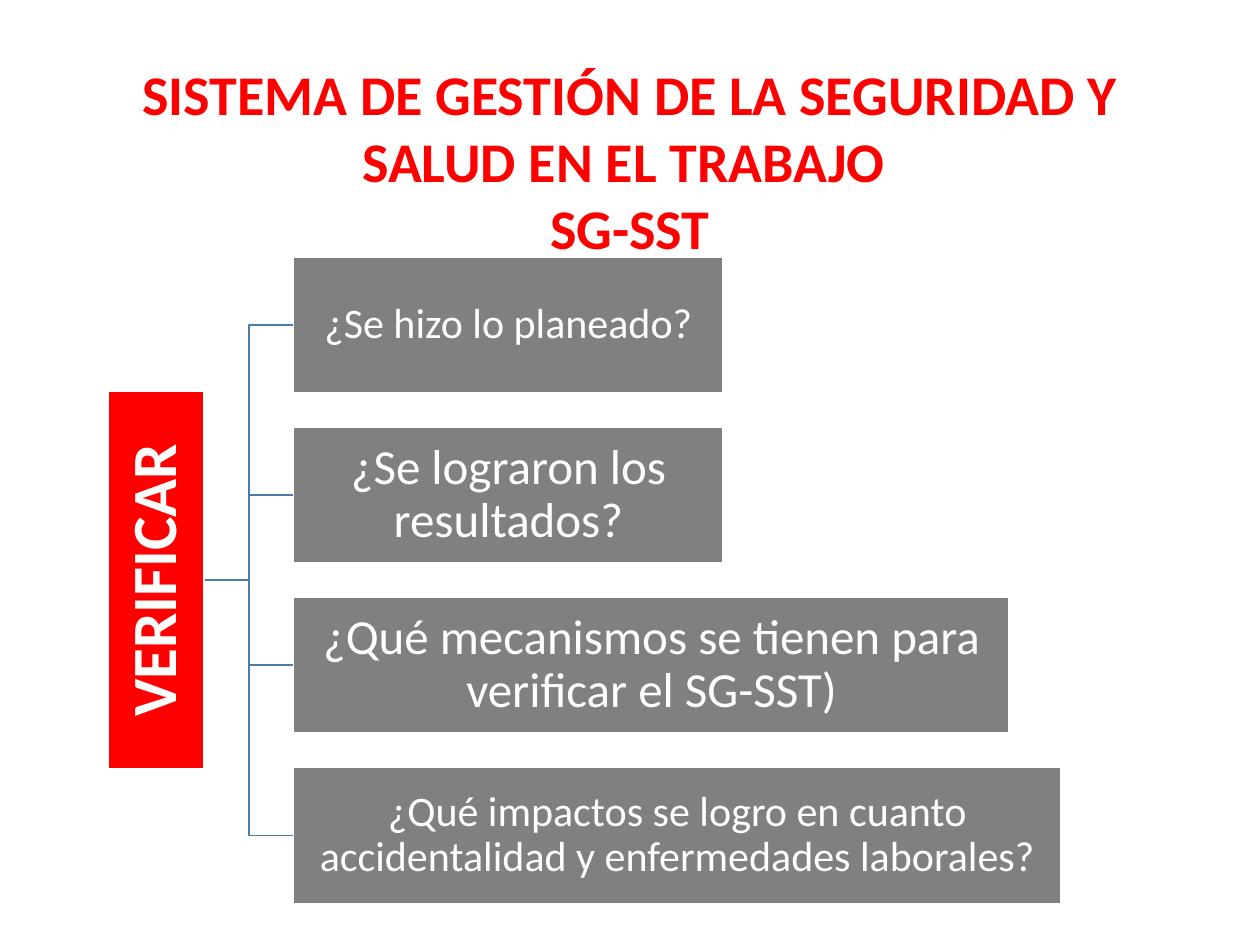
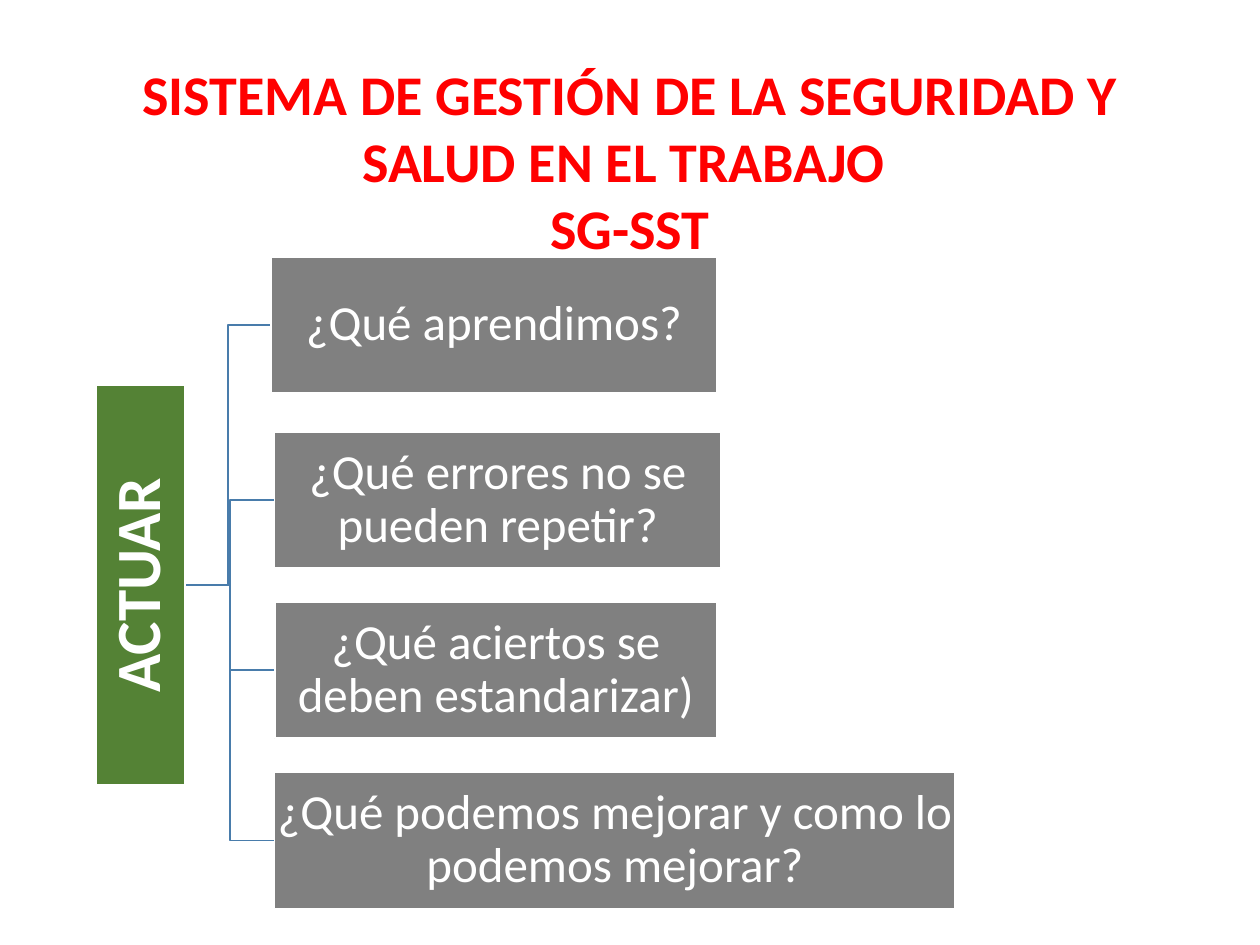
from dataclasses import dataclass

from pptx import Presentation
from pptx.dml.color import RGBColor
from pptx.enum.shapes import MSO_SHAPE
from pptx.enum.text import MSO_ANCHOR, MSO_AUTO_SIZE, PP_ALIGN
from pptx.util import Inches, Pt

# Grid: 100 columns by 75 rows of square cells
SLIDE_WIDTH, SLIDE_HEIGHT = Inches(10), Inches(7.5)
CELL = SLIDE_WIDTH / 100
QUESTION_HEIGHT = 10.8
QUESTION_PITCH = 13.5


@dataclass(frozen=True)
class Theme:
    font: str = "Calibri"
    red: str = "FF0000"
    green: str = "548235"
    gray: str = "808080"
    white: str = "FFFFFF"
    branch: str = "497CAB"
    title_size: int = 32
    stage_size: int = 36
    question_size: int = 28
    small_size: int = 24
    line_width: int = 1


THEME = Theme()
TITLE = ("SISTEMA DE GESTIÓN DE LA SEGURIDAD Y SALUD EN EL TRABAJO ", "SG-SST")


@dataclass(frozen=True)
class Question:
    text: str
    columns: float
    size: int = THEME.question_size
    shift: tuple = (0, 0)


@dataclass(frozen=True)
class Stage:
    name: str
    color: str
    center: float
    length: float
    thickness: float
    questions_left: float
    questions_top: float
    questions: tuple


STAGES = (
    Stage("VERIFICAR", THEME.red, 12.4, 30, 7.6, 23.3, 20.4, (
        Question("¿Se hizo lo planeado?", 34.1, THEME.small_size),
        Question("¿Se lograron los resultados?", 34.1),
        Question("¿Qué mecanismos se tienen para verificar el SG-SST)", 56.8),
        Question("¿Qué impactos se logro en cuanto accidentalidad y "
                 "enfermedades laborales?", 60.9, THEME.small_size),
    )),
    Stage("ACTUAR", THEME.green, 11.15, 31.7, 7.1, 21.8, 20.8, (
        Question("¿Qué aprendimos?", 35.4, shift=(-0.3, -0.4)),
        Question("¿Qué errores no se pueden repetir?", 35.4),
        Question("¿Qué aciertos se deben estandarizar)", 35.1),
        Question("¿Qué podemos mejorar y como lo podemos mejorar?", 54),
    )),
)


def cells(count):
    return round(count * CELL)


def rgb(color):
    return RGBColor.from_string(color)


def write(frame, *lines, size, color, bold=False, anchor=MSO_ANCHOR.MIDDLE,
          spacing=None, margin=None):
    """Fill a text frame with centred lines in one format."""
    frame.word_wrap = True
    frame.vertical_anchor = anchor
    if margin is not None:
        frame.margin_left = frame.margin_right = cells(margin)
        frame.margin_top = frame.margin_bottom = cells(margin)
    for index, line in enumerate(lines):
        paragraph = frame.add_paragraph() if index else frame.paragraphs[0]
        paragraph.alignment = PP_ALIGN.CENTER
        paragraph.line_spacing = spacing
        run = paragraph.add_run()
        run.text = line
        run.font.name = THEME.font
        run.font.size = Pt(size)
        run.font.bold = bold
        run.font.color.rgb = rgb(color)


def outline(shape, color):
    shape.shadow.inherit = False
    shape.line.color.rgb = rgb(color)
    shape.line.width = Pt(THEME.line_width)


def add_block(slide, left, top, width, height, fill, text, **text_format):
    block = slide.shapes.add_shape(
        MSO_SHAPE.RECTANGLE, cells(left), cells(top), cells(width), cells(height))
    block.fill.solid()
    block.fill.fore_color.rgb = rgb(fill)
    outline(block, THEME.white)
    write(block.text_frame, text, color=THEME.white, spacing=0.9, **text_format)
    return block


def add_branch(slide, start, end):
    """Draw an elbow line that turns halfway between its ends."""
    (start_x, start_y), (end_x, end_y) = start, end
    bend = (start_x + end_x) / 2
    builder = slide.shapes.build_freeform(cells(start_x), cells(start_y))
    corners = ((bend, start_y), (bend, end_y), end)
    builder.add_line_segments([(cells(x), cells(y)) for x, y in corners], close=False)
    branch = builder.convert_to_shape()
    branch.fill.background()
    outline(branch, THEME.branch)


def add_title(slide):
    title = slide.shapes.title
    title.left, title.top = cells(6.7), cells(4.2)
    title.width, title.height = cells(86.6), cells(17.2)
    title.text_frame.auto_size = MSO_AUTO_SIZE.NONE
    write(title.text_frame, *TITLE, size=THEME.title_size, color=THEME.red,
          bold=True, anchor=MSO_ANCHOR.TOP)


def add_stage_tree(slide, stage):
    middle = (stage.questions_top + QUESTION_HEIGHT / 2
              + QUESTION_PITCH * (len(stage.questions) - 1) / 2)
    places = [(stage.questions_left + question.shift[0],
               stage.questions_top + row * QUESTION_PITCH + question.shift[1])
              for row, question in enumerate(stage.questions)]

    # Branches lie behind the blocks
    stage_edge = (stage.center + stage.thickness / 2, middle)
    for left, top in places:
        add_branch(slide, stage_edge, (left, top + QUESTION_HEIGHT / 2))

    # Stage name, turned to read upwards
    stage_block = add_block(
        slide, stage.center - stage.length / 2, middle - stage.thickness / 2,
        stage.length, stage.thickness, stage.color, stage.name,
        size=THEME.stage_size, bold=True, margin=0.3)
    stage_block.rotation = 270

    # Questions
    for question, (left, top) in zip(stage.questions, places):
        add_block(slide, left, top, question.columns, QUESTION_HEIGHT, THEME.gray,
                  question.text, size=question.size, margin=0.2)


def main():
    deck = Presentation()
    deck.slide_width, deck.slide_height = SLIDE_WIDTH, SLIDE_HEIGHT
    title_only = deck.slide_layouts[5]
    for stage in STAGES:
        slide = deck.slides.add_slide(title_only)
        add_title(slide)
        add_stage_tree(slide, stage)
    deck.save("out.pptx")


if __name__ == "__main__":
    main()
